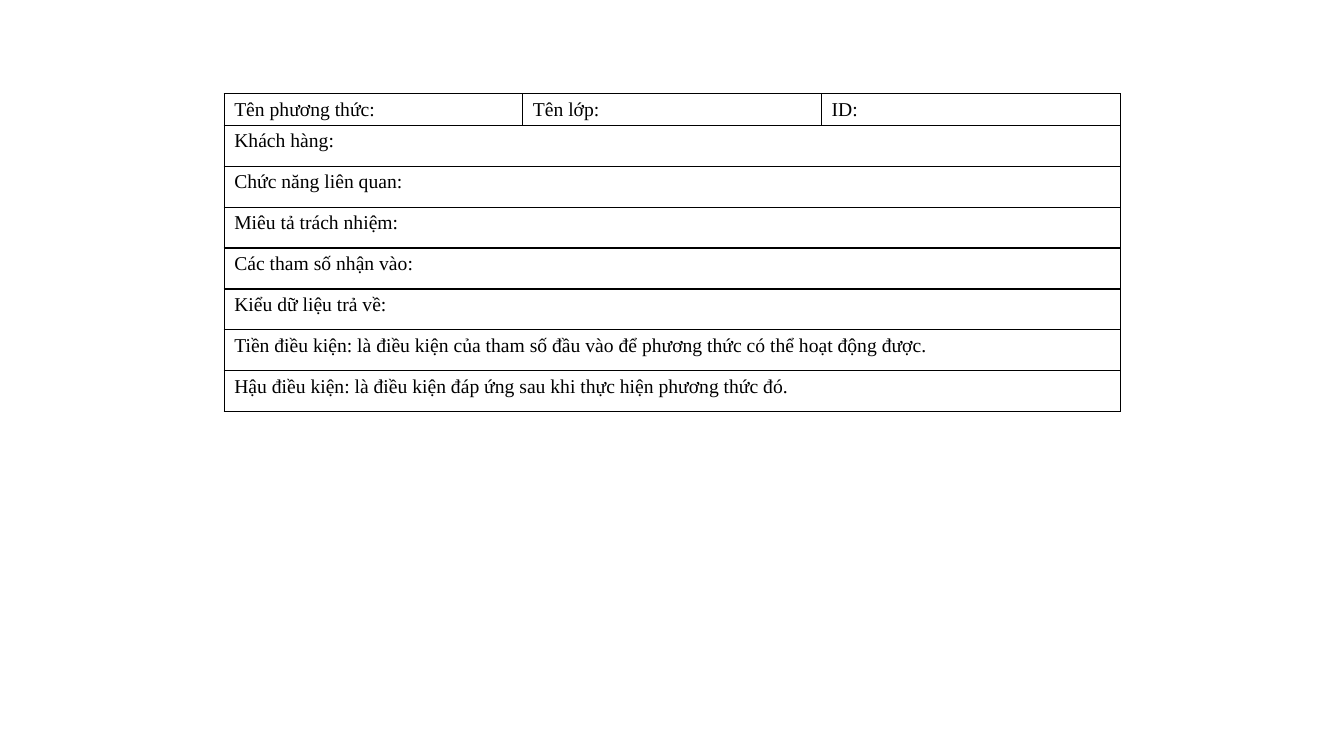
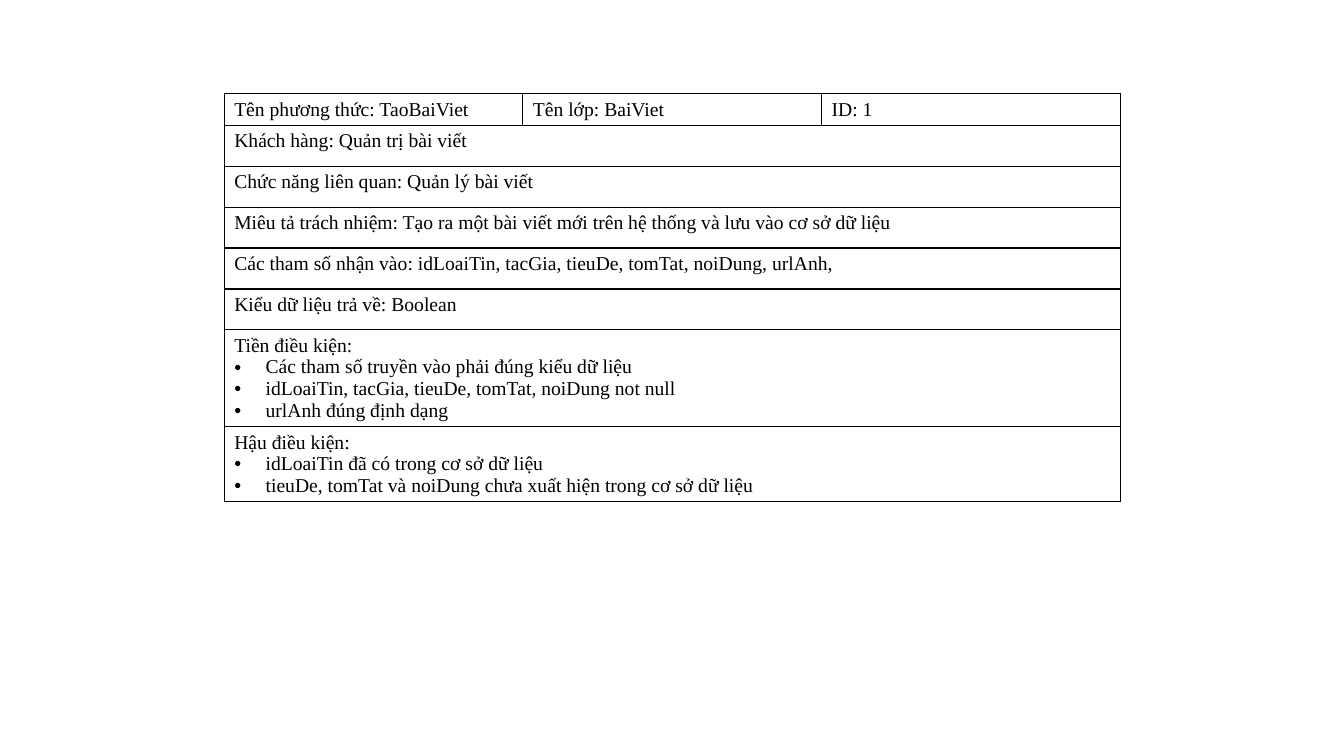
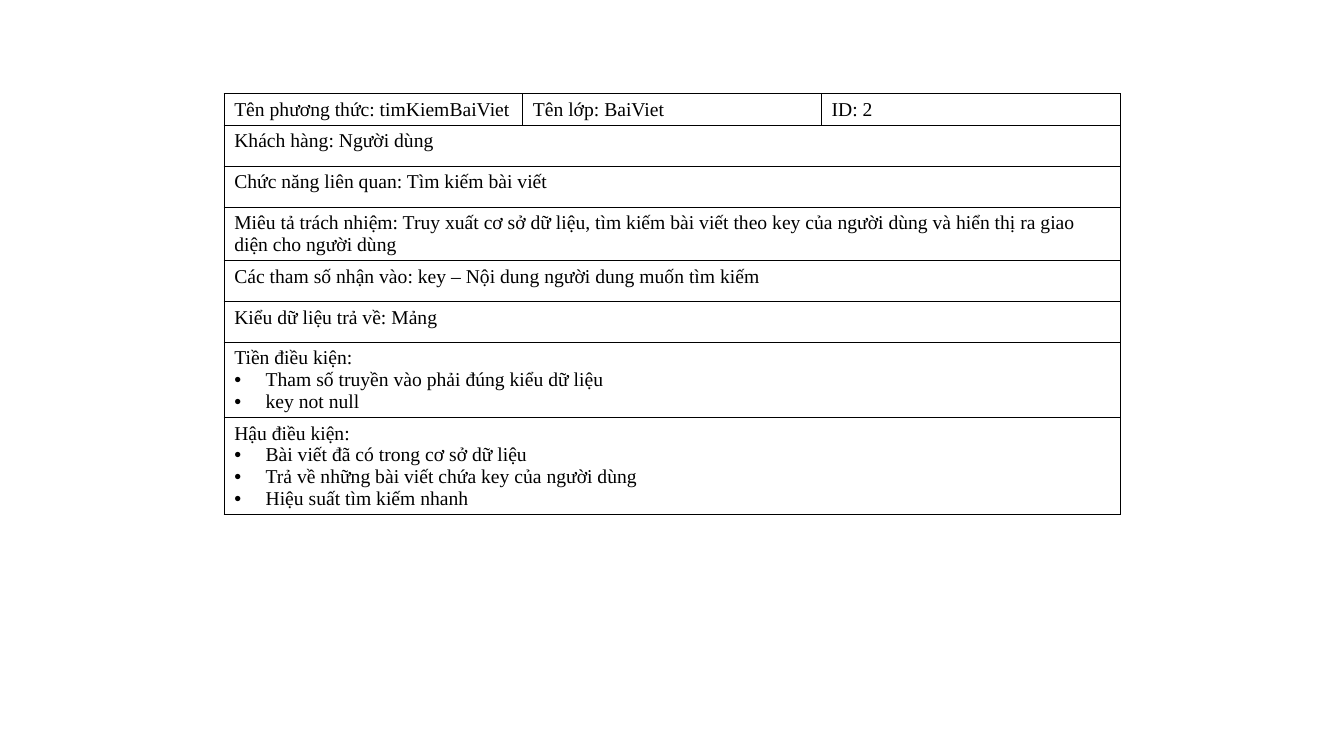
from lxml.etree import SubElement
from pptx import Presentation
from pptx.dml.color import RGBColor
from pptx.oxml import parse_xml
from pptx.oxml.ns import nsdecls, qn
from pptx.util import Cm, Pt

# Wording shared by every method card
HEADINGS = ["Tên phương thức", "Tên lớp", "ID"]
FIELDS = ["Khách hàng", "Chức năng liên quan", "Miêu tả trách nhiệm",
          "Các tham số nhận vào", "Kiểu dữ liệu trả về",
          "Tiền điều kiện", "Hậu điều kiện"]


def colour(hex_code):
    return RGBColor.from_string(hex_code)


class MethodDeck:
    font = "Times New Roman"
    size = Pt(14)
    ink = "000000"
    paper = "FFFFFF"
    border = Pt(1)
    left, top, width = Cm(5.65), Cm(2.36), Cm(22.58)
    heading_height, field_height = Cm(0.66), Cm(1.03)
    bullet_indent = Cm(0.79)

    def __init__(self):
        self.deck = Presentation()
        self.deck.slide_width, self.deck.slide_height = Cm(33.87), Cm(19.05)
        self.page = None

    def add_page(self):
        self.page = self.deck.slides.add_slide(self.deck.slide_layouts[6])
        background = self.page.background.fill
        background.solid()
        background.fore_color.rgb = colour(self.paper)

    def add_card(self, headings, fields):
        """Draw one table: a row of headings, then a full-width row per field.

        A field is a plain value, or a list of values shown as bullets.
        """
        columns, rows = len(HEADINGS), len(FIELDS) + 1
        height = self.heading_height + len(FIELDS) * self.field_height
        table = self.page.shapes.add_table(
            rows, columns, self.left, self.top, self.width, height).table
        table.first_row = table.horz_banding = False

        # Grid
        for column in table.columns:
            column.width = self.width // columns
        for row in table.rows:
            row.height = self.field_height
        table.rows[0].height = self.heading_height
        for cell in table.iter_cells():
            self.style_cell(cell)

        # Contents
        for index, (label, value) in enumerate(zip(HEADINGS, headings)):
            self.fill_cell(table.cell(0, index), label, value)
        for index, (label, value) in enumerate(zip(FIELDS, fields), start=1):
            cell = table.cell(index, 0)
            cell.merge(table.cell(index, columns - 1))
            self.fill_cell(cell, label, value)

    def style_cell(self, cell):
        cell.fill.solid()
        cell.fill.fore_color.rgb = colour(self.paper)
        properties = cell._tc.get_or_add_tcPr()
        for position, side in enumerate("LRTB"):
            properties.insert(position, parse_xml(
                f'<a:ln{side} {nsdecls("a")} w="{self.border}"><a:solidFill>'
                f'<a:srgbClr val="{self.ink}"/></a:solidFill></a:ln{side}>'))

    def fill_cell(self, cell, label, value):
        bullets = value if isinstance(value, list) else []
        first_line = f"{label}: {'' if bullets else value}".rstrip()
        cell.text_frame.text = "\n".join([first_line, *bullets])
        for index, para in enumerate(cell.text_frame.paragraphs):
            if index:
                self.add_bullet(para)
            for span in para.runs:
                span.font.name = self.font
                span.font.size = self.size
                span.font.color.rgb = colour(self.ink)

    def add_bullet(self, para):
        properties = para._p.get_or_add_pPr()
        properties.set("marL", str(self.bullet_indent))
        properties.set("indent", str(-self.bullet_indent))
        SubElement(properties, qn("a:buFont")).set("typeface", "Arial")
        SubElement(properties, qn("a:buChar")).set("char", "•")


# Values of each card: headings, then fields
CARDS = [
    (["", "", ""],
     ["", "", "", "", "",
      "là điều kiện của tham số đầu vào để phương thức có thể hoạt động được.",
      "là điều kiện đáp ứng sau khi thực hiện phương thức đó."]),
    (["TaoBaiViet", "BaiViet", "1"],
     ["Quản trị bài viết",
      "Quản lý bài viết",
      "Tạo ra một bài viết mới trên hệ thống và lưu vào cơ sở dữ liệu",
      "idLoaiTin, tacGia, tieuDe, tomTat, noiDung, urlAnh,",
      "Boolean",
      ["Các tham số truyền vào phải đúng kiểu dữ liệu",
       "idLoaiTin, tacGia, tieuDe, tomTat, noiDung not null",
       "urlAnh đúng định dạng"],
      ["idLoaiTin đã có trong cơ sở dữ liệu",
       "tieuDe, tomTat và noiDung chưa xuất hiện trong cơ sở dữ liệu"]]),
    (["timKiemBaiViet", "BaiViet", "2"],
     ["Người dùng",
      "Tìm kiếm bài viết",
      "Truy xuất cơ sở dữ liệu, tìm kiếm bài viết theo key của người dùng "
      "và hiển thị ra giao diện cho người dùng",
      "key – Nội dung người dung muốn tìm kiếm",
      "Mảng",
      ["Tham số truyền vào phải đúng kiểu dữ liệu",
       "key not null"],
      ["Bài viết đã có trong cơ sở dữ liệu",
       "Trả về những bài viết chứa key của người dùng",
       "Hiệu suất tìm kiếm nhanh"]]),
]

# One slide per card
cards = MethodDeck()
for card_headings, card_fields in CARDS:
    cards.add_page()
    cards.add_card(card_headings, card_fields)
cards.deck.save("out.pptx")
